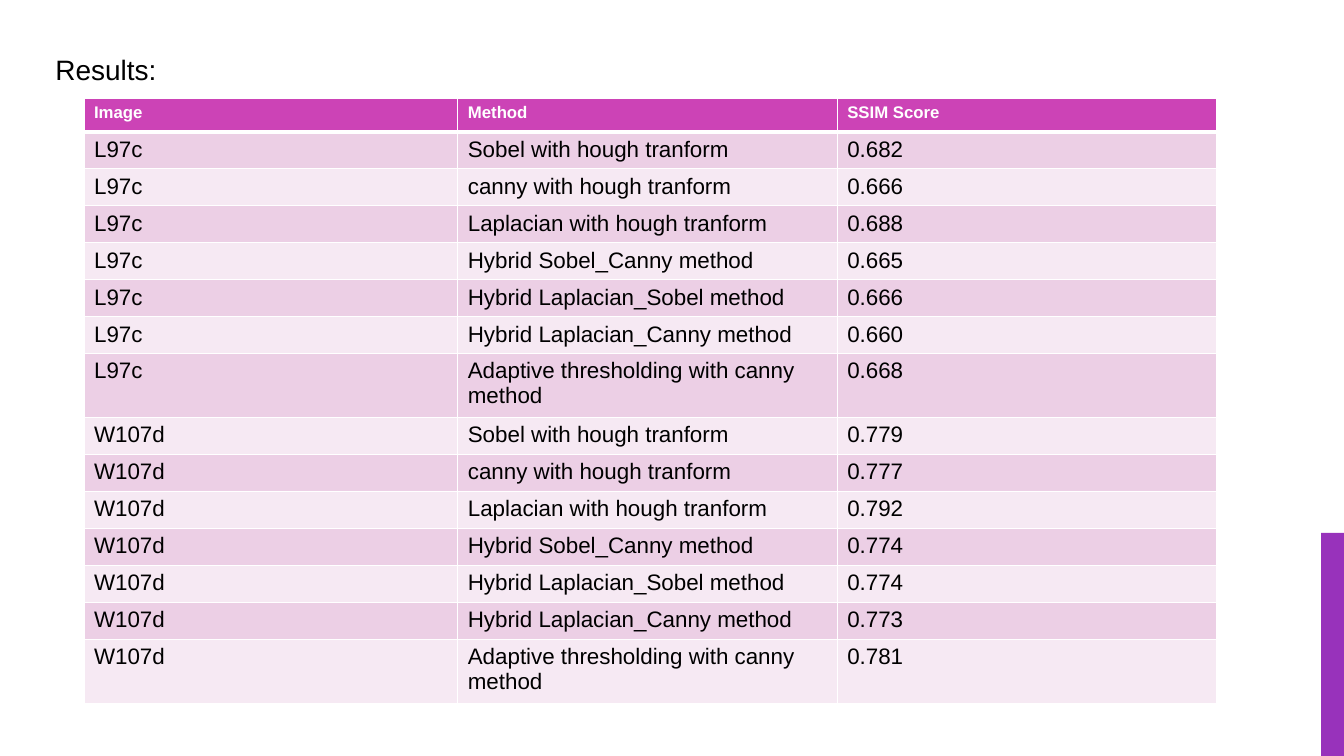
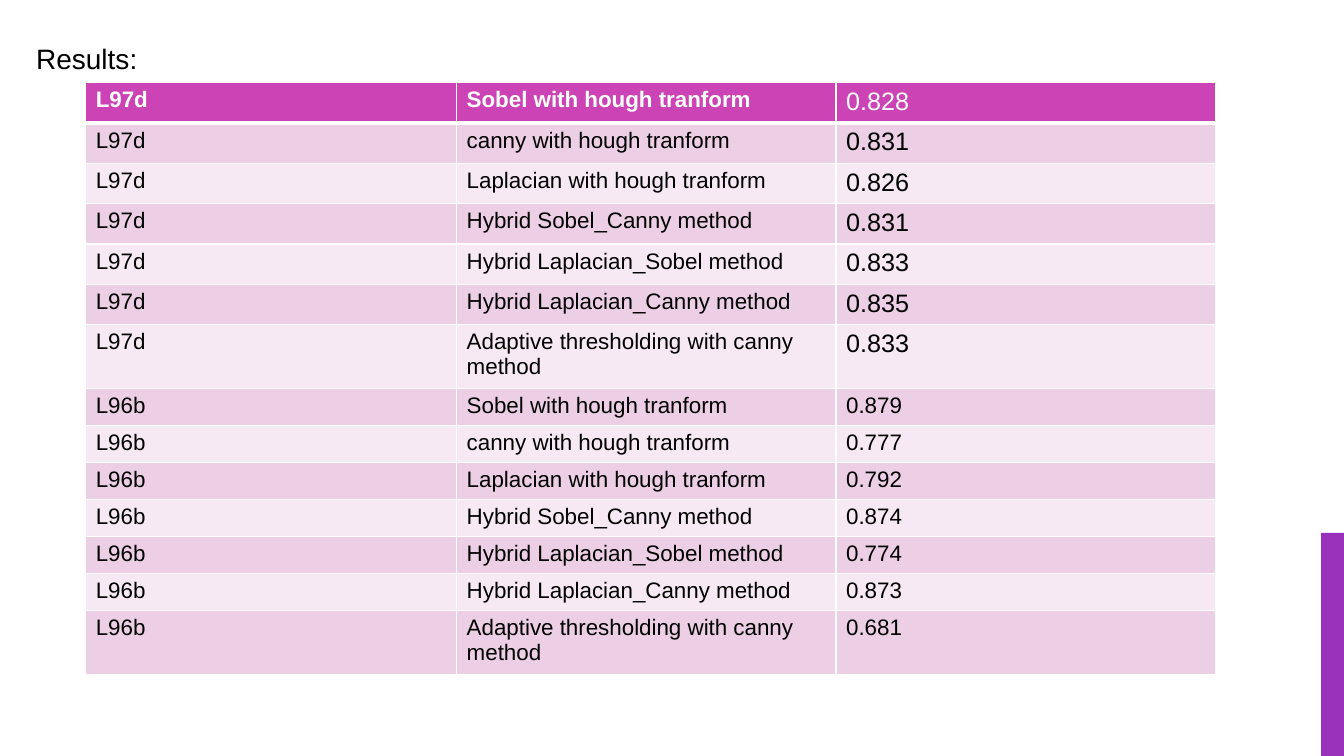
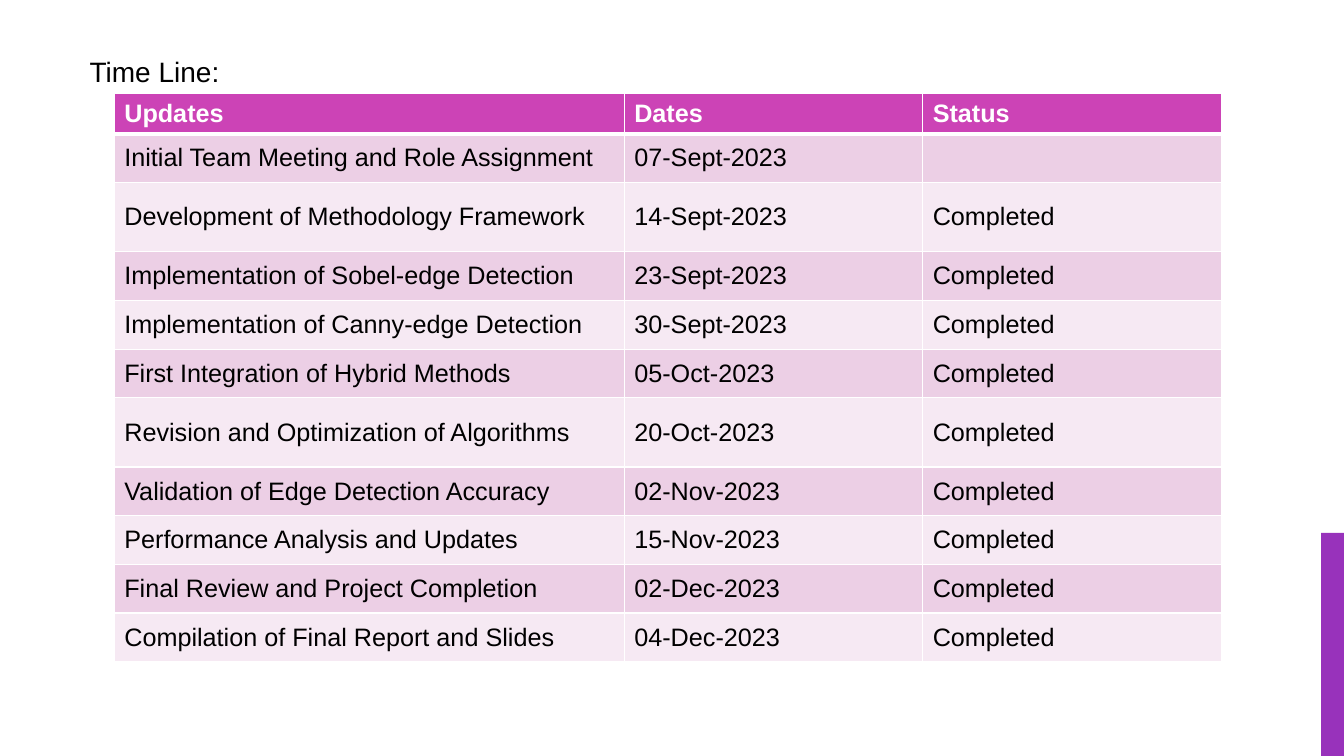
from pptx import Presentation
from pptx.dml.color import RGBColor
from pptx.enum.shapes import MSO_SHAPE
from pptx.enum.text import MSO_ANCHOR
from pptx.oxml import parse_xml
from pptx.oxml.ns import nsdecls
from pptx.util import Pt

# Shared style
FONT = "Arial"
BLACK, WHITE = "000000", "FFFFFF"
BAND, HEADER = "9832BB", "CC43B6"
STRIPES = ("ECCFE5", "F6E9F3")
THIN, THICK = 1, 3

# Content
METHODS = [
    "Sobel with hough tranform",
    "canny with hough tranform",
    "Laplacian with hough tranform",
    "Hybrid Sobel_Canny method",
    "Hybrid Laplacian_Sobel method",
    "Hybrid Laplacian_Canny method",
    "Adaptive thresholding with canny method",
]
SCORES = {
    "L97c": ["0.682", "0.666", "0.688", "0.665", "0.666", "0.660", "0.668"],
    "W107d": ["0.779", "0.777", "0.792", "0.774", "0.774", "0.773", "0.781"],
    "L97d": ["0.828", "0.831", "0.826", "0.831", "0.833", "0.835", "0.833"],
    "L96b": ["0.879", "0.777", "0.792", "0.874", "0.774", "0.873", "0.681"],
}
MILESTONES = [
    ("Initial Team Meeting and Role Assignment", "07-Sept-2023", ""),
    ("Development of Methodology Framework", "14-Sept-2023", "Completed"),
    ("Implementation of Sobel-edge Detection", "23-Sept-2023", "Completed"),
    ("Implementation of Canny-edge Detection", "30-Sept-2023", "Completed"),
    ("First Integration of Hybrid Methods", "05-Oct-2023", "Completed"),
    ("Revision and Optimization of Algorithms", "20-Oct-2023", "Completed"),
    ("Validation of Edge Detection Accuracy", "02-Nov-2023", "Completed"),
    ("Performance Analysis and Updates", "15-Nov-2023", "Completed"),
    ("Final Review and Project Completion", "02-Dec-2023", "Completed"),
    ("Compilation of Final Report and Slides", "04-Dec-2023", "Completed"),
]


def score_rows(*images):
    return [(image, method, score) for image in images
            for method, score in zip(METHODS, SCORES[image])]


ROW, ROW_LARGE, ROW_DOUBLE = 25, 27.3, 42.9
SCORE_GROUP = [ROW] * 6 + [ROW_DOUBLE]
STEP, STEP_TALL = 34.8, 49.4

# Frames are left, top, width, height; large_scores counts rows with 18 pt scores
PAGES = [
    dict(title="Results:", frame=(32.4, 26.6, 862.6, 489.6), corner=(60, 70.4),
         columns=(267, 271, 271), heights=[23.8] + SCORE_GROUP * 2,
         rows=[("Image", "Method", "SSIM Score")] + score_rows("L97c", "W107d"),
         header_size=12, size=16, large_scores=0, anchor=MSO_ANCHOR.TOP),
    dict(title="Results:", frame=(18.7, 18.7, 892, 493.2), corner=(61.2, 59),
         columns=(265, 271, 271),
         heights=[ROW_LARGE] * 6 + [ROW_DOUBLE] + SCORE_GROUP,
         rows=score_rows("L97d", "L96b"),
         header_size=16, size=16, large_scores=7, anchor=MSO_ANCHOR.TOP),
    dict(title="Time Line:", frame=(56.9, 28, 815.8, 473.8), corner=(81.6, 66.8),
         columns=(364.3, 213.2, 213.2),
         heights=[ROW_LARGE, STEP, STEP_TALL] + [STEP] * 3 + [STEP_TALL] + [STEP] * 4,
         rows=[("Updates", "Dates", "Status")] + MILESTONES,
         header_size=18, size=18, large_scores=0, anchor=MSO_ANCHOR.MIDDLE),
]


def color(value):
    return RGBColor.from_string(value)


def style(para, size, ink, bold=False):
    font = para.font
    font.name, font.size, font.bold = FONT, Pt(size), bold
    font.color.rgb = color(ink)


def add_band(page):
    band = page.shapes.add_shape(
        MSO_SHAPE.RECTANGLE, Pt(943.7), Pt(380.7), Pt(16.3), Pt(159.3))
    band.shadow.inherit = False
    band.fill.solid()
    band.fill.fore_color.rgb = color(BAND)
    band.line.fill.background()


def add_title(page, text, frame):
    box = page.shapes.add_textbox(*map(Pt, frame))
    box.text_frame.word_wrap = True
    para = box.text_frame.paragraphs[0]
    para.text = text
    para.line_spacing, para.space_before = 1.3, Pt(10)
    style(para, 20, BLACK)


def set_borders(cell, row):
    # The rule under the header belongs to both rows that meet there
    widths = {"L": THIN, "R": THIN,
              "T": THICK if row == 1 else THIN,
              "B": THICK if row == 0 else THIN}
    for side, width in widths.items():
        cell._tc.get_or_add_tcPr().append(parse_xml(
            f'<a:ln{side} {nsdecls("a")} w="{Pt(width)}"><a:solidFill>'
            f'<a:srgbClr val="{WHITE}"/></a:solidFill></a:ln{side}>'))


def add_grid(page, content):
    rows, columns, heights = content["rows"], content["columns"], content["heights"]
    table = page.shapes.add_table(
        len(rows), len(columns), *map(Pt, content["corner"]),
        Pt(sum(columns)), Pt(sum(heights))).table
    table.first_row = table.horz_banding = False
    for column, width in zip(table.columns, columns):
        column.width = Pt(width)
    for row, height in zip(table.rows, heights):
        row.height = Pt(height)

    for r, values in enumerate(rows):
        header = r == 0
        for c, value in enumerate(values):
            cell = table.cell(r, c)
            set_borders(cell, r)
            cell.fill.solid()
            cell.fill.fore_color.rgb = color(HEADER if header else STRIPES[(r - 1) % 2])
            cell.vertical_anchor = content["anchor"]
            large = c == 2 and r < content["large_scores"]
            size = 18 if large else content["header_size" if header else "size"]
            para = cell.text_frame.paragraphs[0]
            para.text = value
            style(para, size, WHITE if header else BLACK, header and not large)


def main():
    deck = Presentation()
    deck.slide_width, deck.slide_height = Pt(960), Pt(540)
    for content in PAGES:
        page = deck.slides.add_slide(deck.slide_layouts[6])
        add_band(page)
        add_title(page, content["title"], content["frame"])
        add_grid(page, content)
    deck.save("out.pptx")


if __name__ == "__main__":
    main()
